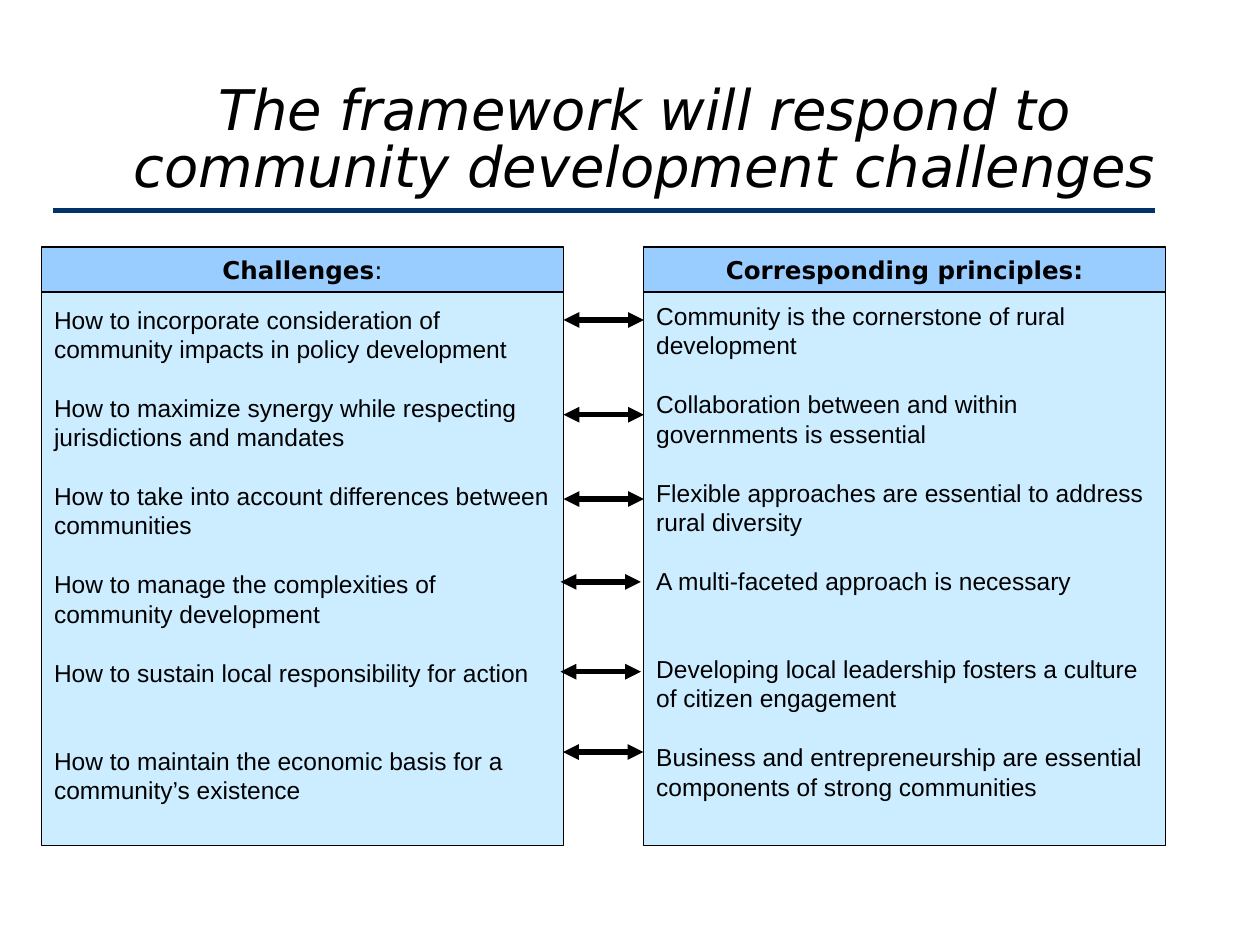
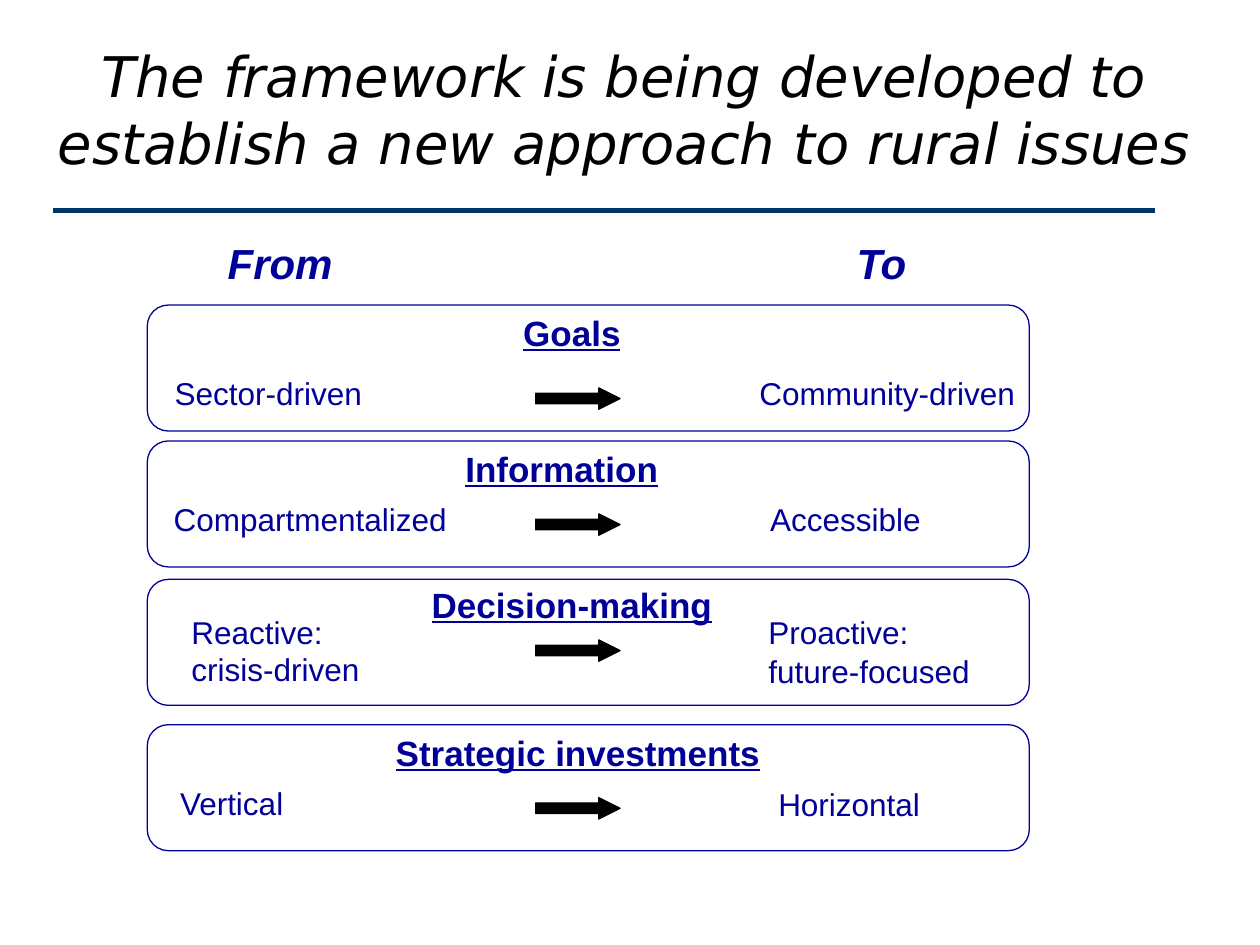
from dataclasses import dataclass
from typing import Optional

from lxml import etree
from pptx import Presentation
from pptx.dml.color import RGBColor
from pptx.enum.shapes import MSO_CONNECTOR, MSO_SHAPE
from pptx.enum.text import MSO_ANCHOR, MSO_AUTO_SIZE, PP_ALIGN
from pptx.oxml.ns import qn
from pptx.util import Cm, Pt

STRAIGHT = MSO_CONNECTOR.STRAIGHT
RECTANGLE = MSO_SHAPE.RECTANGLE
ROUNDED = MSO_SHAPE.ROUNDED_RECTANGLE
RIGHT_ARROW = MSO_SHAPE.RIGHT_ARROW
TOP, MIDDLE = MSO_ANCHOR.TOP, MSO_ANCHOR.MIDDLE
LEFT, CENTER = PP_ALIGN.LEFT, PP_ALIGN.CENTER
NO_FIT, GROW = MSO_AUTO_SIZE.NONE, MSO_AUTO_SIZE.SHAPE_TO_FIT_TEXT

BLACK, NAVY, INDIGO = "000000", "003366", "000099"
HEADER_BLUE, BODY_BLUE = "99CCFF", "CCECFF"

# Text formats; "color" is a hex string, the rest are font attributes
TITLE = {"name": "DejaVu Sans", "size": Pt(32), "bold": False, "italic": True, "color": BLACK}
COLUMN_HEADER = {"name": "DejaVu Sans", "size": Pt(14), "bold": True, "color": BLACK}
COLUMN_BODY = {"name": "Arial", "size": Pt(14), "color": BLACK}
SHIFT_ITEM = {"name": "Arial", "size": Pt(18), "color": INDIGO}
SHIFT_HEADING = {"name": "Arial", "size": Pt(20), "bold": True, "underline": True, "color": INDIGO}
DIRECTION = {"name": "Arial", "size": Pt(24), "bold": True, "italic": True, "color": INDIGO}

BODY_LINE = 16.8  # points per line in the two columns
ROW_LINES = 3     # each column entry takes three lines


@dataclass
class Entry:
    text: str
    lines: int = 2


@dataclass
class Column:
    left: float
    body_top: float
    header: str
    header_suffix: str
    entries: list[Entry]


@dataclass
class Label:
    text: str
    left: float
    top: float
    width: float
    align: PP_ALIGN = LEFT
    space_before: float = 0  # only for a second line, set tight


@dataclass
class Shift:
    frame_top: float
    arrow_top: float
    heading: Label
    before: Label
    after: Label


COLUMN_WIDTH, HEADER_TOP, HEADER_HEIGHT, COLUMN_BOTTOM = 10.52, 4.98, 0.91, 17.05
COLUMNS = [
    Column(0.84, 5.89, "Challenges", ":", [
        Entry("How to incorporate consideration of community impacts in policy development"),
        Entry("How to maximize synergy while respecting jurisdictions and mandates"),
        Entry("How to take into account differences between communities"),
        Entry("How to manage the complexities of community development"),
        Entry("How to sustain local responsibility for action", 1),
        Entry("How to maintain the economic basis for a community’s existence"),
    ]),
    Column(12.98, 5.82, "Corresponding principles:", "", [
        Entry("Community is the cornerstone of rural development"),
        Entry("Collaboration between and within governments is essential"),
        Entry("Flexible approaches are essential to address rural diversity"),
        Entry("A multi-faceted approach is necessary", 1),
        Entry("Developing local leadership fosters a culture of citizen engagement"),
        Entry("Business and entrepreneurship are essential components of strong communities"),
    ]),
]
# Left end and height of each arrow between the columns
LINKS = [(11.36, 6.45), (11.36, 8.36), (11.36, 10.06), (11.3, 11.73), (11.3, 13.54), (11.35, 15.16)]
LINK_LENGTH = 1.62

DIRECTIONS = [Label("From", 4.34, 4.65, 4), Label("To", 17.02, 4.65, 4)]
SHIFTS = [
    Shift(6.15, 7.82, Label("Goals", 7.62, 6.15, 7.82, CENTER),
          Label("Sector-driven", 2.97, 7.42, 4.88, CENTER),
          Label("Community-driven", 14.81, 7.42, 6.15, CENTER)),
    Shift(8.89, 10.36, Label("Information", 6.78, 8.89, 9.09, CENTER),
          Label("Compartmentalized", 3.18, 9.96, 6.15, CENTER),
          Label("Accessible", 13.97, 9.96, 6.15, CENTER)),
    Shift(11.68, 12.9, Label("Decision-making", 7.62, 11.63, 7.82, CENTER),
          Label("Reactive:\ncrisis-driven", 3.61, 12.5, 7.62, space_before=7.9),
          Label("Proactive:\nfuture-focused", 15.24, 12.5, 5.28, space_before=9)),
    Shift(14.61, 16.08, Label("Strategic investments", 7.42, 14.61, 8.46, CENTER),
          Label("Vertical", 3.38, 15.67, 4.88),
          Label("Horizontal", 15.44, 15.7, 5.08)),
]


def rgb(color: str) -> RGBColor:
    return RGBColor.from_string(color)


def apply_font(font, text_format: dict) -> None:
    for attribute, value in text_format.items():
        if attribute == "color":
            font.color.rgb = rgb(value)
        else:
            setattr(font, attribute, value)


def set_frame(text_frame, anchor: MSO_ANCHOR, wrap: bool = True,
              auto_size: MSO_AUTO_SIZE = NO_FIT, margin_top: float = 0.13) -> None:
    settings = {"vertical_anchor": anchor, "word_wrap": wrap, "auto_size": auto_size,
                "margin_left": Cm(0.25), "margin_right": Cm(0.25),
                "margin_top": Cm(margin_top), "margin_bottom": Cm(0.13)}
    for attribute, value in settings.items():
        setattr(text_frame, attribute, value)


def add_run(paragraph, text: str, text_format: dict) -> None:
    run = paragraph.add_run()
    run.text = text
    apply_font(run.font, text_format)


def add_box(slide, kind: MSO_SHAPE, left: float, top: float, width: float, height: float,
            fill: Optional[str], line: str):
    shape = slide.shapes.add_shape(kind, Cm(left), Cm(top), Cm(width), Cm(height))
    shape.shadow.inherit = False
    if fill:
        shape.fill.solid()
        shape.fill.fore_color.rgb = rgb(fill)
    else:
        shape.fill.background()
    shape.line.color.rgb = rgb(line)
    shape.line.width = Pt(0.75)
    return shape


def add_line(slide, left: float, top: float, length: float, color: str, arrows: bool = False) -> None:
    connector = slide.shapes.add_connector(STRAIGHT, Cm(left), Cm(top), Cm(left + length), Cm(top))
    connector.line.color.rgb = rgb(color)
    connector.line.width = Pt(3)
    if arrows:
        line_element = connector.line._get_or_add_ln()
        for end in ("a:headEnd", "a:tailEnd"):
            etree.SubElement(line_element, qn(end), type="triangle")
    etree.SubElement(connector._element.spPr, qn("a:effectLst"))


def add_label(slide, label: Label, text_format: dict) -> None:
    text_lines = label.text.split("\n")
    text_box = slide.shapes.add_textbox(Cm(label.left), Cm(label.top), Cm(label.width),
                                        Cm(1.02 if len(text_lines) == 1 else 1.45))
    text_frame = text_box.text_frame
    set_frame(text_frame, TOP, auto_size=GROW)
    for index, text in enumerate(text_lines):
        paragraph = text_frame.add_paragraph() if index else text_frame.paragraphs[0]
        paragraph.alignment = label.align
        if label.space_before:
            paragraph.line_spacing = 0.6
        if index:
            paragraph.space_before = Pt(label.space_before)
        add_run(paragraph, text, text_format)


def add_titled_slide(presentation, title: str, top: float, width: float, line_spacing: float):
    slide = presentation.slides.add_slide(presentation.slide_layouts[5])
    placeholder = slide.shapes.title
    placeholder.left, placeholder.top = Cm(0.84), Cm(top)
    placeholder.width, placeholder.height = Cm(width), Cm(3.18)
    set_frame(placeholder.text_frame, MIDDLE)
    paragraph = placeholder.text_frame.paragraphs[0]
    paragraph.alignment = CENTER
    paragraph.line_spacing = line_spacing
    add_run(paragraph, title, TITLE)
    # Rule under the title
    add_line(slide, 1.07, 4.24, 22.22, NAVY)
    return slide


def add_column(slide, column: Column) -> None:
    # Body with evenly pitched entries
    body = add_box(slide, RECTANGLE, column.left, column.body_top, COLUMN_WIDTH,
                   COLUMN_BOTTOM - column.body_top, BODY_BLUE, BLACK)
    set_frame(body.text_frame, TOP, margin_top=0.25)
    previous_lines = 0
    for index, entry in enumerate(column.entries):
        paragraph = body.text_frame.add_paragraph() if index else body.text_frame.paragraphs[0]
        paragraph.alignment = LEFT
        paragraph.line_spacing = Pt(BODY_LINE)
        if index:
            paragraph.space_before = Pt(BODY_LINE * (ROW_LINES - previous_lines))
        add_run(paragraph, entry.text, COLUMN_BODY)
        previous_lines = entry.lines

    # Header band
    header = add_box(slide, RECTANGLE, column.left, HEADER_TOP, COLUMN_WIDTH, HEADER_HEIGHT,
                     HEADER_BLUE, BLACK)
    set_frame(header.text_frame, MIDDLE, wrap=False)
    paragraph = header.text_frame.paragraphs[0]
    paragraph.alignment = CENTER
    add_run(paragraph, column.header, COLUMN_HEADER)
    if column.header_suffix:
        add_run(paragraph, column.header_suffix, COLUMN_HEADER | {"bold": False})


def add_shift(slide, shift: Shift) -> None:
    add_box(slide, ROUNDED, 2.97, shift.frame_top, 17.78, 2.54, None, INDIGO)
    arrow = add_box(slide, RIGHT_ARROW, 10.8, shift.arrow_top, 1.7, 0.43, BLACK, BLACK)
    arrow.adjustments[1] = 1.0
    add_label(slide, shift.heading, SHIFT_HEADING)
    add_label(slide, shift.before, SHIFT_ITEM)
    add_label(slide, shift.after, SHIFT_ITEM)


def build_challenges_slide(presentation) -> None:
    slide = add_titled_slide(
        presentation, "The framework will respond to community development challenges",
        top=1.27, width=24.33, line_spacing=0.85)
    for column in COLUMNS:
        add_column(slide, column)
    for left, top in LINKS:
        add_line(slide, left, top, LINK_LENGTH, BLACK, arrows=True)


def build_approach_slide(presentation) -> None:
    slide = add_titled_slide(
        presentation, "The framework is being developed to establish a new approach to rural issues",
        top=0.6, width=23.5, line_spacing=1.0)
    for direction in DIRECTIONS:
        add_label(slide, direction, DIRECTION)
    for shift in SHIFTS:
        add_shift(slide, shift)


def main() -> None:
    presentation = Presentation()
    presentation.slide_width, presentation.slide_height = Cm(25.4), Cm(19.05)
    build_challenges_slide(presentation)
    build_approach_slide(presentation)
    presentation.save("out.pptx")


if __name__ == "__main__":
    main()
